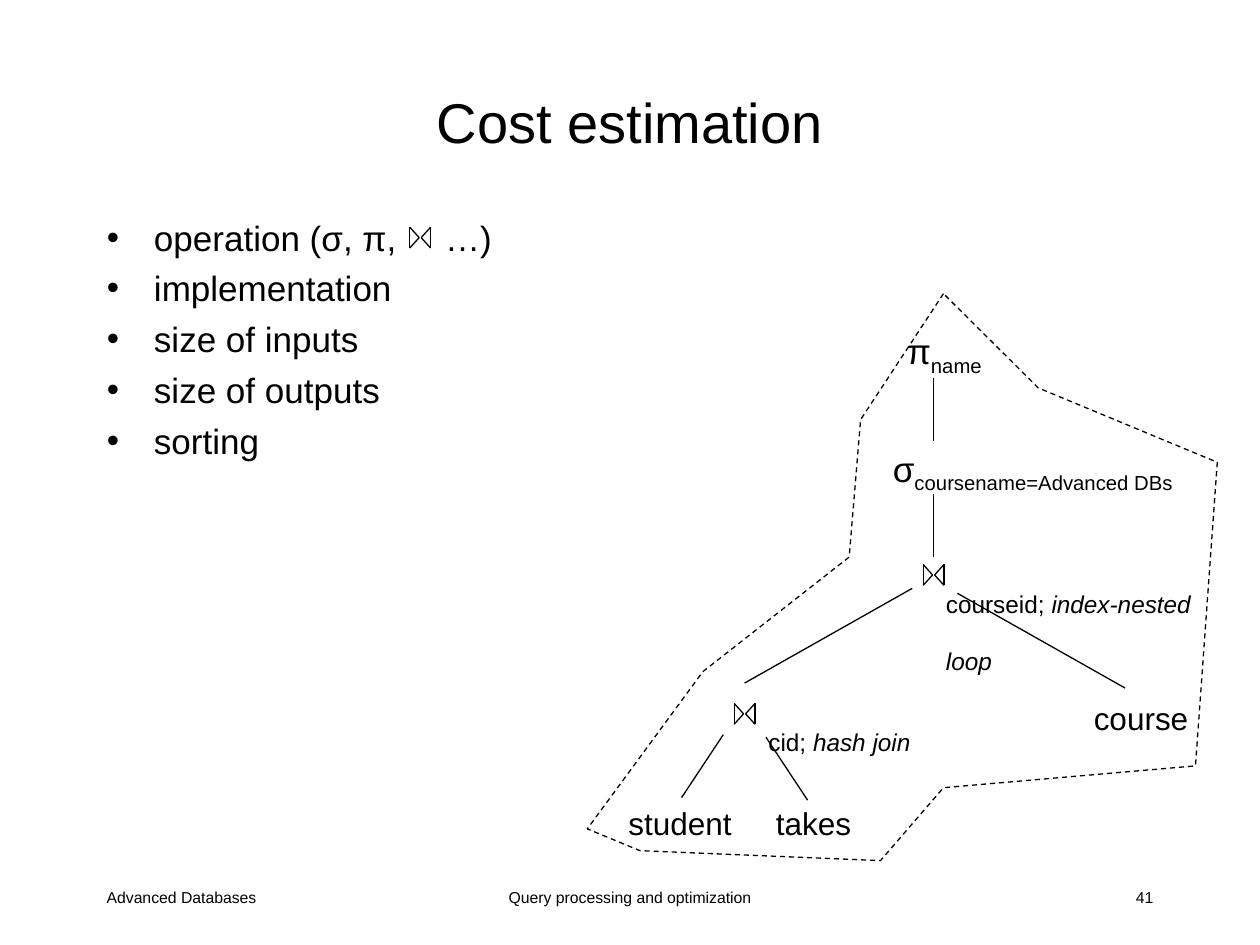
"""Build the cost estimation slide with its query plan tree."""
import pptx
import pptx.dml.color
import pptx.enum.dml
import pptx.enum.shapes
import pptx.enum.text
import pptx.oxml
import pptx.oxml.ns
import pptx.util

Cm = pptx.util.Cm
Pt = pptx.util.Pt
ALIGN = pptx.enum.text.PP_ALIGN
LEFT, MID, RIGHT = ALIGN.LEFT, ALIGN.CENTER, ALIGN.RIGHT
ANCHOR = pptx.enum.text.MSO_ANCHOR
FIT = pptx.enum.text.MSO_AUTO_SIZE

THEME = {
    "font": "Arial",
    "ink": pptx.dml.color.RGBColor(0, 0, 0),
    "title": 32, "body": 20, "op": 20, "leaf": 18, "join": 24, "foot": 9,
    "line": 0.75, "gap": 5, "sub": "-25000",
}

TITLE = "Cost estimation"
BULLETS = ["operation (σ, π,\t…)", "implementation", "size of inputs",
           "size of outputs", "sorting"]
INDENT, TAB = 0.95, 6.82
TITLE_BOX = (1.9, 0.85, 21.6, 3.17)
BODY_BOX = (1.9, 4.23, 21.6, 13.12)

FOOTERS = [
    ("Advanced Databases", (1.9, 17.78, 5.29, 0.85), LEFT),
    ("Query processing and optimization", (8.68, 17.78, 8.04, 0.85), MID),
    ("41", (18.21, 17.78, 5.29, 0.85), RIGHT),
]

LABELS = [
    ([("π", ""), ("name", "s")], "op", (18.03, 6.52, 2.3, 1.22), False),
    ([("σ", ""), ("coursename=Advanced DBs", "s")], "op",
     (17.75, 8.89, 7.62, 1.22), True),
    ([("courseid; ", "s"), ("index-nested loop", "si")], "join",
     (18.82, 11.18, 6, 2.57), True),
    ([("cid; ", "s"), ("hash join", "si")], "join",
     (15.24, 13.97, 3.5, 1.42), False),
    ([("course", "")], "leaf", (21.8, 13.97, 2.5, 1.02), False),
    ([("student", "")], "leaf", (12.42, 16.08, 2.7, 1.02), False),
    ([("takes", "")], "leaf", (15.39, 16.08, 2.1, 1.02), False),
]

LIST_JOIN = (8.47, 4.79)
TREE_JOINS = [(18.82, 11.59), (15.01, 14.39)]
HALF, NOTCH = 0.21, 0.02

EDGES = [
    (18.82, 8.89, 18.82, 7.62), (18.82, 11.23, 18.82, 9.96),
    (15.01, 13.77, 18.39, 11.86), (22.68, 13.87, 19.3, 11.96),
    (14.58, 14.81, 13.74, 16.08), (15.44, 14.86, 16.28, 16.13),
]

BORDER = [
    (19.02, 5.92), (17.35, 8.46), (17.12, 11.23), (14.17, 13.54),
    (11.84, 16.71), (12.9, 17.15), (17.75, 17.35), (19.02, 15.88),
    (24.1, 15.44), (24.54, 9.32), (20.93, 7.82),
]


def scale(nums):
    return [Cm(n) for n in nums]


def style(run, size, marks=""):
    font = run.font
    font.name, font.size = THEME["font"], Pt(THEME[size])
    font.color.rgb = THEME["ink"]
    if "i" in marks:
        font.italic = True
    if "s" in marks:
        run._r.get_or_add_rPr().set("baseline", THEME["sub"])


def place(shape, box):
    shape.left, shape.top, shape.width, shape.height = scale(box)


def label(shapes, parts, size, box, wrap=True, align=LEFT):
    frame = shapes.add_textbox(*scale(box)).text_frame
    frame.word_wrap = wrap
    para = frame.paragraphs[0]
    para.alignment = align
    for text, marks in parts:
        run = para.add_run()
        run.text = text
        style(run, size, marks)


def stroke(line):
    line.color.rgb = THEME["ink"]
    line.width = Pt(THEME["line"])


def edge(shapes, ends):
    link = shapes.add_connector(
        pptx.enum.shapes.MSO_CONNECTOR.STRAIGHT, *scale(ends))
    stroke(link.line)
    link._element.spPr.append(pptx.oxml.parse_xml(
        f'<a:effectLst {pptx.oxml.ns.nsdecls("a")}/>'))


def bowtie(shapes, x, y):
    for side in (-1, 1):
        far, near = x + side * HALF, x + side * NOTCH
        edge(shapes, (far, y - HALF, far, y + HALF))
        for end in (y - HALF, y + HALF):
            edge(shapes, (far, end, near, y))


def fill_title(shape):
    place(shape, TITLE_BOX)
    frame = shape.text_frame
    frame.text = TITLE
    frame.auto_size = FIT.NONE
    frame.vertical_anchor = ANCHOR.MIDDLE
    frame.paragraphs[0].alignment = MID
    style(frame.paragraphs[0].runs[0], "title")


def fill_body(shape):
    place(shape, BODY_BOX)
    frame = shape.text_frame
    frame.text = "\n".join(BULLETS)
    frame.auto_size = FIT.NONE
    names = pptx.oxml.ns.nsdecls("a")
    for row, para in enumerate(frame.paragraphs):
        props = para._p.get_or_add_pPr()
        props.set("marL", str(Cm(INDENT)))
        props.set("indent", str(-Cm(INDENT)))
        for xml in (f'<a:buChar {names} char="•"/>',
                    f'<a:tabLst {names}><a:tab pos="{Cm(TAB)}" algn="l"/>'
                    '</a:tabLst>'):
            props.append(pptx.oxml.parse_xml(xml))
        para.space_before = Pt(THEME["gap"] if row else 0)
        for run in para.runs:
            style(run, "body")


def draw_tree(shapes):
    for parts, size, box, wrap in LABELS:
        label(shapes, parts, size, box, wrap)
    for spot in TREE_JOINS:
        bowtie(shapes, *spot)
    for ends in EDGES:
        edge(shapes, ends)
    points = [scale(point) for point in BORDER]
    path = shapes.build_freeform(*points[0])
    path.add_line_segments(points[1:], close=True)
    shape = path.convert_to_shape()
    shape.shadow.inherit = False
    shape.fill.background()
    stroke(shape.line)
    shape.line.dash_style = pptx.enum.dml.MSO_LINE.DASH


def main():
    deck = pptx.Presentation()
    deck.slide_width, deck.slide_height = Cm(25.4), Cm(19.05)
    slide = deck.slides.add_slide(deck.slide_layouts[1])
    shapes = slide.shapes
    fill_title(shapes.title)
    fill_body(slide.placeholders[1])
    for text, box, align in FOOTERS:
        label(shapes, [(text, "")], "foot", box, align=align)
    bowtie(shapes.add_group_shape().shapes, *LIST_JOIN)
    draw_tree(shapes.add_group_shape().shapes)
    deck.save("out.pptx")


if __name__ == "__main__":
    main()
